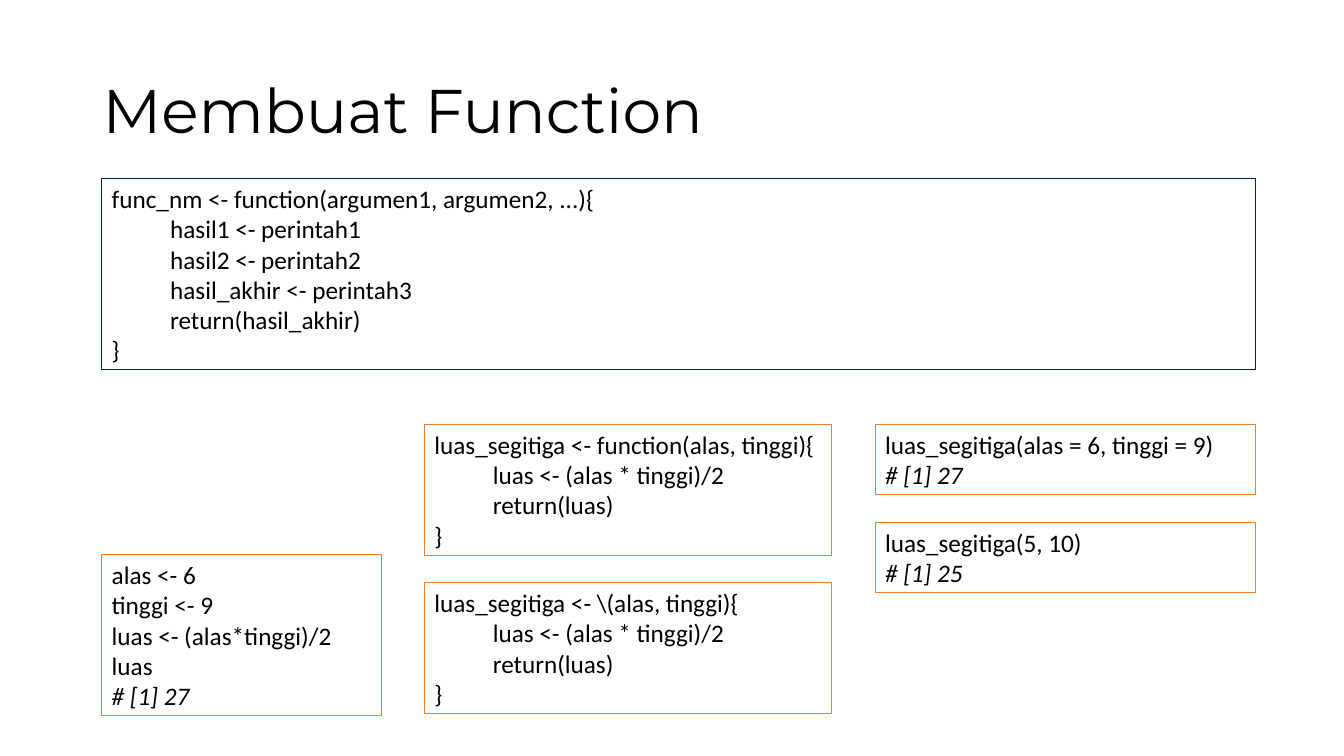
import pptx
import pptx.dml.color
import pptx.enum.text
import pptx.util

Inches = pptx.util.Inches
Pt = pptx.util.Pt

COLORS = {"text": "000000", "syntax": "002060", "example": "ED7D31"}
LEFT, MIDDLE, RIGHT = (1.01, 2.77), (4.21, 4.04), (8.68, 3.77)
FULL_WIDTH = 11.44
EXAMPLES_TOP = 4.21
EXAMPLES_BOTTOM = 7.1
GAP = 0.27
LINE_HEIGHT = 0.3
PADDING = 0.1

SYNTAX = [
    "func_nm <- function(argumen1, argumen2, ...){",
    "\thasil1 <- perintah1",
    "\thasil2 <- perintah2",
    "\thasil_akhir <- perintah3",
    "\treturn(hasil_akhir)",
    "}",
]
STEPS = ["alas <- 6", "tinggi <- 9", "luas <- (alas*tinggi)/2", "luas", "# [1] 27"]
BODY = ["\tluas <- (alas * tinggi)/2", "\treturn(luas)", "}"]
DEFINITIONS = [
    ["luas_segitiga <- function(alas, tinggi){"] + BODY,
    ["luas_segitiga <- \\(alas, tinggi){"] + BODY,
]
CALLS = [
    ["luas_segitiga(alas = 6, tinggi = 9)", "# [1] 27"],
    ["luas_segitiga(5, 10)", "# [1] 25"],
]


def rgb(name):
    """Return the named palette colour."""
    return pptx.dml.color.RGBColor.from_string(COLORS[name])


def add_run(paragraph, text, font_name, size, italic=None):
    """Add one run of text to a paragraph."""
    run = paragraph.add_run()
    run.text = text
    run.font.name = font_name
    run.font.size = Pt(size)
    run.font.italic = italic
    run.font.color.rgb = rgb("text")


def add_title(slide, text, left, top, width, height):
    """Add the slide title, centred vertically in its box."""
    shape = slide.shapes.add_textbox(Inches(left), Inches(top), Inches(width), Inches(height))
    frame = shape.text_frame
    frame.word_wrap = True
    frame.vertical_anchor = pptx.enum.text.MSO_ANCHOR.MIDDLE
    paragraph = frame.paragraphs[0]
    paragraph.line_spacing = 0.9
    add_run(paragraph, text, "Montserrat", 44)


def code_height(lines):
    """Return the height of a code box that fits its lines."""
    return len(lines) * LINE_HEIGHT + PADDING


def add_code_box(slide, lines, left, top, width, color):
    """Add outlined code with indented bodies and italic output."""
    shape = slide.shapes.add_textbox(
        Inches(left), Inches(top), Inches(width), Inches(code_height(lines))
    )
    shape.line.color.rgb = rgb(color)
    shape.line.width = Pt(0.75)
    frame = shape.text_frame
    frame.word_wrap = True
    frame.auto_size = pptx.enum.text.MSO_AUTO_SIZE.SHAPE_TO_FIT_TEXT
    for index, line in enumerate(lines):
        paragraph = frame.add_paragraph() if index else frame.paragraphs[0]
        if line.startswith("\t"):
            paragraph._p.get_or_add_pPr().set("marL", str(Inches(0.58)))
        italic = True if line.startswith("#") else None
        add_run(paragraph, line.strip(), "Calibri", 18, italic)


def add_code_column(slide, blocks, left, top, width):
    """Stack example boxes downwards with an equal gap."""
    for lines in blocks:
        add_code_box(slide, lines, left, top, width, "example")
        top += code_height(lines) + GAP


def main():
    """Build and save the slide."""
    presentation = pptx.Presentation()
    presentation.slide_width = Inches(13.33)
    presentation.slide_height = Inches(7.5)
    slide = presentation.slides.add_slide(presentation.slide_layouts[6])
    add_title(slide, "Membuat Function", 0.92, 0.4, 11.5, 1.45)
    add_code_box(slide, SYNTAX, LEFT[0], 1.77, FULL_WIDTH, "syntax")
    steps_top = EXAMPLES_BOTTOM - code_height(STEPS)
    add_code_column(slide, [STEPS], LEFT[0], steps_top, LEFT[1])
    add_code_column(slide, DEFINITIONS, MIDDLE[0], EXAMPLES_TOP, MIDDLE[1])
    add_code_column(slide, CALLS, RIGHT[0], EXAMPLES_TOP, RIGHT[1])
    presentation.save("out.pptx")


if __name__ == "__main__":
    main()
